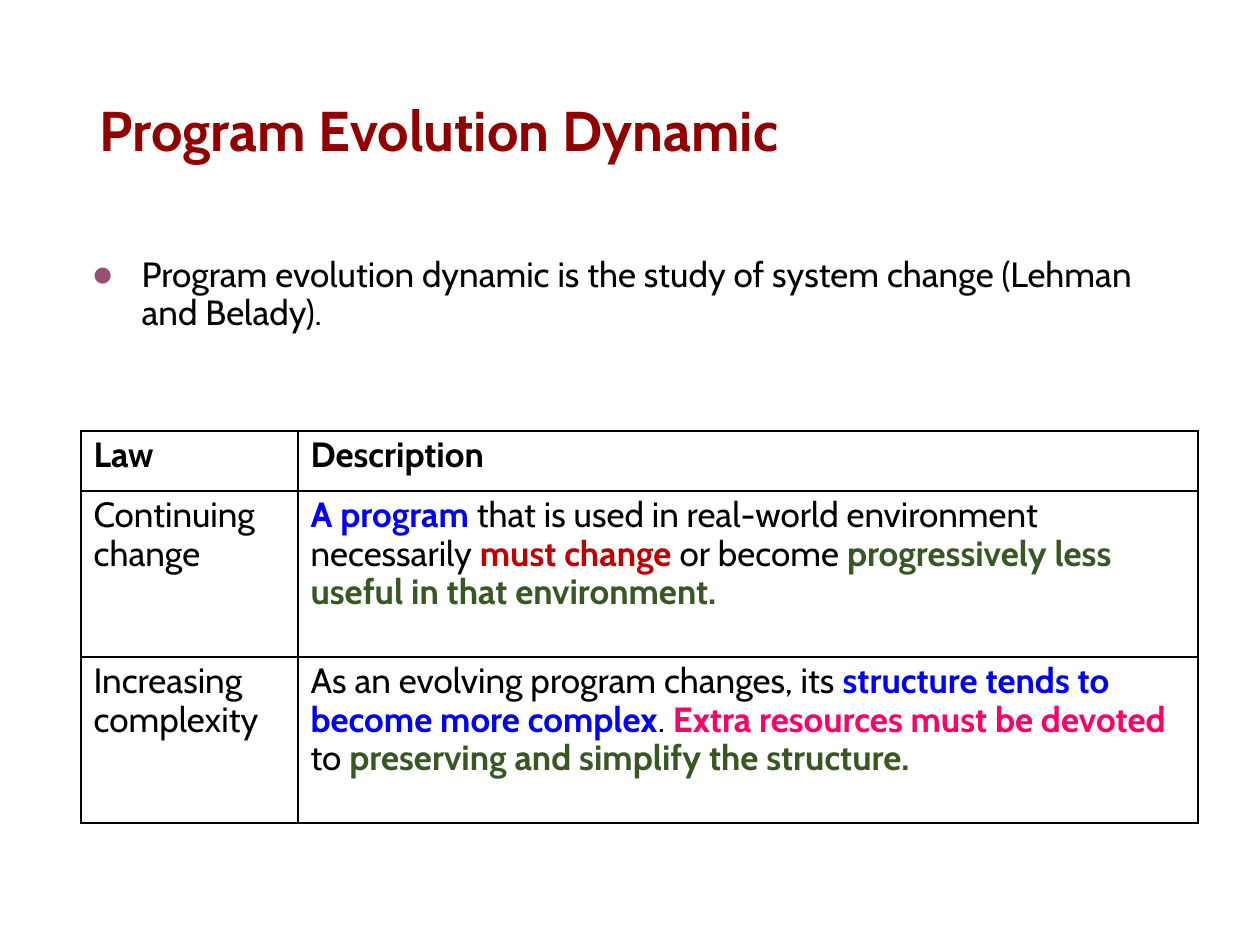
from lxml import etree
from pptx import Presentation
from pptx.dml.color import RGBColor
from pptx.enum.text import MSO_ANCHOR, MSO_AUTO_SIZE, PP_ALIGN
from pptx.oxml.ns import qn
from pptx.util import Pt

LEFT = PP_ALIGN.LEFT
MIDDLE = MSO_ANCHOR.MIDDLE
NO_FIT = MSO_AUTO_SIZE.NONE

BLACK = RGBColor(0x00, 0x00, 0x00)
MAROON = RGBColor(0x92, 0x00, 0x00)
BLUE = RGBColor(0x00, 0x00, 0xFF)
RED = RGBColor(0xC0, 0x00, 0x00)
GREEN = RGBColor(0x38, 0x57, 0x23)
PINK = RGBColor(0xFF, 0x00, 0x66)
PLUM = RGBColor(0x95, 0x4F, 0x72)
FONT = "Cabin"


def px(length):
    return length * 914400 // 126


def write(para, text, size=20, colour=BLACK, bold=False):
    para.alignment = LEFT
    para.line_spacing = 0.9
    para.space_before = Pt(0)
    span = para.add_run()
    span.text = text
    span.font.name = FONT
    span.font.size = Pt(size)
    span.font.bold = bold
    span.font.color.rgb = colour


deck = Presentation()
deck.slide_width, deck.slide_height = px(1260), px(945)
page = deck.slides.add_slide(deck.slide_layouts[1])
title, body = page.placeholders

# Title
title.left, title.top, title.width, title.height = px(87), px(83), px(1111), px(100)
title.text_frame.vertical_anchor = MIDDLE
title.text_frame.auto_size = NO_FIT
write(title.text_frame.paragraphs[0], "Program Evolution Dynamic",
      size=32, colour=MAROON, bold=True)

# Bulleted definition
body.left, body.top, body.width, body.height = px(81), px(251), px(1116), px(89)
body.text_frame.auto_size = NO_FIT
para = body.text_frame.paragraphs[0]
properties = para._p.get_or_add_pPr()
properties.set("marL", str(px(48)))
properties.set("indent", str(-px(48)))
bullet_colour = etree.SubElement(properties, qn("a:buClr"))
etree.SubElement(bullet_colour, qn("a:srgbClr"), val=str(PLUM))
etree.SubElement(properties, qn("a:buSzPct"), val="60000")
etree.SubElement(properties, qn("a:buFont"), typeface=FONT)
etree.SubElement(properties, qn("a:buChar"), char="●")
write(para, "Program evolution dynamic is the study of system change (Lehman and Belady).")

# Table of laws: each cell is a list of (text, colour, bold)
laws = [
    [[("Law", BLACK, True)], [("Description", BLACK, True)]],
    [[("Continuing change", BLACK, False)],
     [("A program ", BLUE, True),
      ("that is used in real-world environment necessarily ", BLACK, False),
      ("must change ", RED, True),
      ("or become ", BLACK, False),
      ("progressively less useful in that environment.", GREEN, True)]],
    [[("Increasing complexity", BLACK, False)],
     [("As an evolving program changes, its ", BLACK, False),
      ("structure tends to become more complex", BLUE, True),
      (". ", BLACK, False),
      ("Extra resources must be devoted ", PINK, True),
      ("to ", BLACK, False),
      ("preserving and simplify the structure.", GREEN, True)]],
]
widths = [217, 900]
heights = [60, 166, 166]
table = page.shapes.add_table(len(heights), len(widths), px(81), px(431),
                              px(sum(widths)), px(sum(heights))).table
table.first_row = table.horz_banding = False
for column, width in zip(table.columns, widths):
    column.width = px(width)
for row, height, law in zip(table.rows, heights, laws):
    row.height = px(height)
    for cell, spans in zip(row.cells, law):
        for text, colour, bold in spans:
            write(cell.text_frame.paragraphs[0], text, colour=colour, bold=bold)
        # Black one-point borders, which must precede the fill
        cell_properties = cell._tc.get_or_add_tcPr()
        for side in ("a:lnL", "a:lnR", "a:lnT", "a:lnB"):
            line = etree.SubElement(cell_properties, qn(side), w=str(Pt(1)))
            fill = etree.SubElement(line, qn("a:solidFill"))
            etree.SubElement(fill, qn("a:srgbClr"), val=str(BLACK))
        cell.fill.background()

deck.save("out.pptx")
